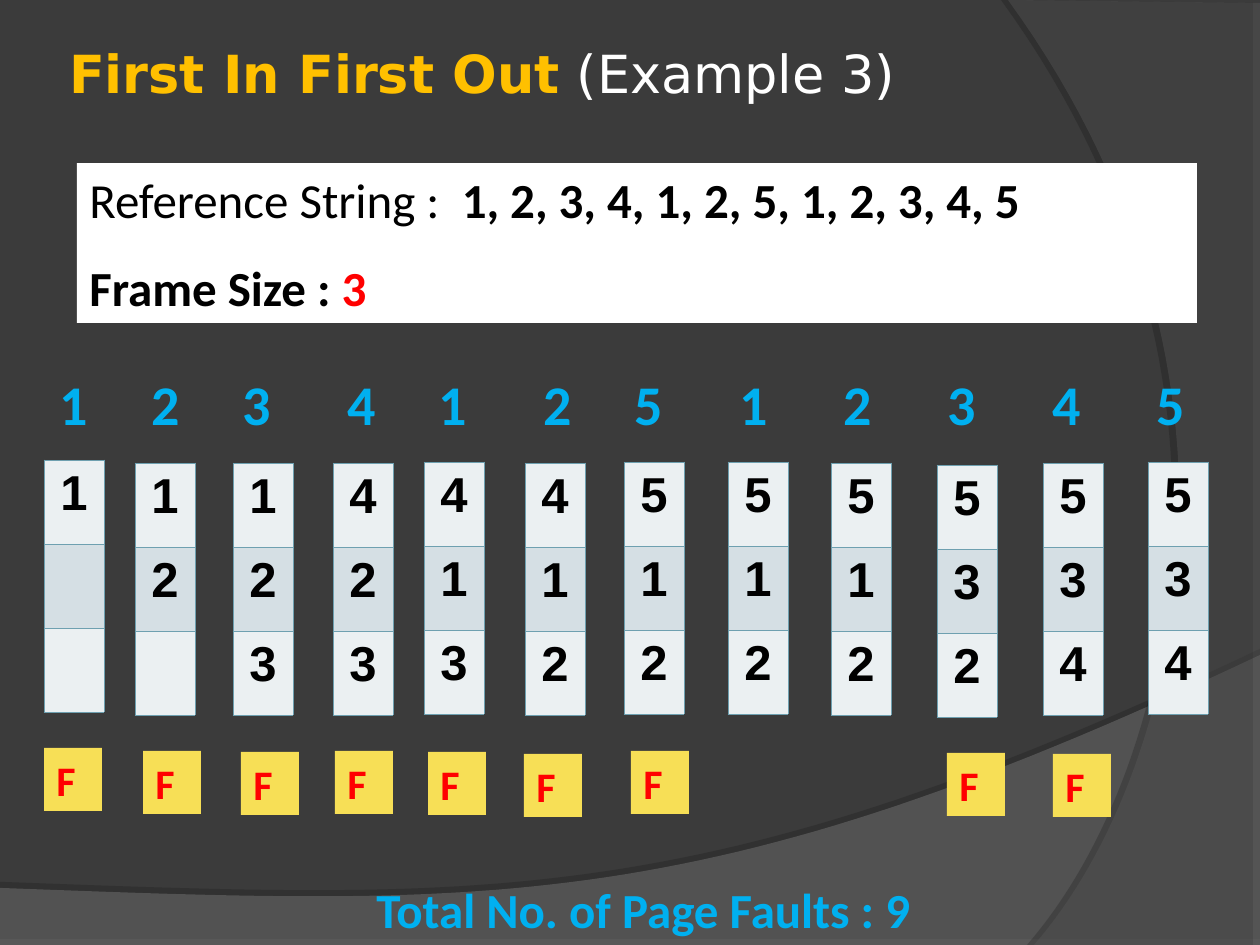
from lxml.etree import SubElement
from pptx import Presentation
from pptx.dml.color import RGBColor
from pptx.enum.shapes import MSO_SHAPE
from pptx.enum.text import MSO_ANCHOR, MSO_AUTO_SIZE, PP_ALIGN
from pptx.oxml.ns import qn
from pptx.util import Pt

COLORS = {
    "background": "3B3B3B", "lower_swoosh": "7C7C7C", "right_swoosh": "595959",
    "gold": "FFC000", "white": "FFFFFF", "black": "000000", "red": "FF0000",
    "blue": "00B0F0", "fault": "F7DF56", "light_row": "EBF0F2",
    "dark_row": "D5DFE4", "border": "6EA0B0",
}
REFERENCES = [1, 2, 3, 4, 1, 2, 5, 1, 2, 3, 4, 5]
FRAME_SIZE = 3
HEADER_TABS = [92, 183, 288, 379, 484, 575, 680, 784, 888, 993, 1097]
STACKS = [(44, 460), (135, 463), (233, 463), (333, 463), (424, 462), (525, 463),
          (624, 462), (728, 462), (831, 463), (937, 465), (1043, 463), (1148, 462)]
FAULTS = [(44, 748), (143, 751), (241, 752), (335, 751), (428, 752),
          (524, 754), (631, 751), (947, 753), (1053, 754)]


def px(n):
    """Turn pixels into EMU at 126 pixels to the inch."""
    return round(n * 914400 / 126)


def rgb(name):
    """Look up a named colour."""
    return RGBColor.from_string(COLORS[name])


def add_run(p, text, size=28, color="black", bold=True, font="Calibri"):
    """Add formatted text to a paragraph."""
    r = p.add_run()
    r.text = text
    r.font.size = Pt(size)
    r.font.name = font
    r.font.bold = bold
    r.font.color.rgb = rgb(color)
    return r


def curve(start, c1, c2, end, steps=60):
    """Sample the points of a cubic curve."""
    points = []
    for i in range(steps + 1):
        t = i / steps
        weights = ((1 - t) ** 3, 3 * t * (1 - t) ** 2, 3 * t * t * (1 - t), t ** 3)
        points.append(tuple(px(sum(w * v for w, v in zip(weights, axis)))
                            for axis in zip(start, c1, c2, end)))
    return points


def add_swoosh(s, corners, bend, color, alpha, shadow):
    """Draw a translucent curved area with a hard shadow."""
    points = [(px(x), px(y)) for x, y in corners] + curve(*bend)
    fb = s.shapes.build_freeform(*points[0])
    fb.add_line_segments(points[1:], close=True)
    sp = fb.convert_to_shape()
    sp.fill.solid()
    sp.fill.fore_color.rgb = rgb(color)
    sp.line.fill.background()
    clr = sp._element.spPr.find(".//" + qn("a:srgbClr"))
    SubElement(clr, qn("a:alpha"), val=str(alpha * 1000))
    sp.shadow.inherit = False
    effects = sp._element.spPr.find(qn("a:effectLst"))
    opacity, dist, angle = shadow
    outer = SubElement(effects, qn("a:outerShdw"), blurRad="0", dist=str(Pt(dist)),
                       dir=str(angle * 60000), algn="ctr", rotWithShape="0")
    dark = SubElement(outer, qn("a:srgbClr"), val=COLORS["black"])
    SubElement(dark, qn("a:alpha"), val=str(opacity * 1000))


def add_background(s):
    """Paint the slide and its two swooshes."""
    s.background.fill.solid()
    s.background.fill.fore_color.rgb = rgb("background")
    add_swoosh(s, [(0, 945), (1260, 945)],
               [(1260, 655), (704, 919), (493, 906), (0, 888)],
               "lower_swoosh", 45, (35, 3.5, 270))
    add_swoosh(s, [(1260, 3), (1260, 945)],
               [(1034, 945), (1178, 780), (1283, 378), (1008, 0)],
               "right_swoosh", 40, (45, 4, 180))


def add_title(s):
    """Move the title placeholder to the front and fill it."""
    sp = s.shapes.title
    s.shapes._spTree.append(sp._element)
    sp.left, sp.top, sp.width, sp.height = px(63), px(-6), px(1134), px(158)
    tf = sp.text_frame
    tf.auto_size = MSO_AUTO_SIZE.NONE
    tf.vertical_anchor = MSO_ANCHOR.MIDDLE
    tf.margin_left = tf.margin_right = tf.margin_top = tf.margin_bottom = px(6)
    p = tf.paragraphs[0]
    p.alignment = PP_ALIGN.LEFT
    add_run(p, "First In First Out", size=30, color="gold", font="DejaVu Sans")
    add_run(p, " (Example 3)", size=30, color="white", bold=False, font="DejaVu Sans")


def add_box(s, x, y, w, h, fill=None):
    """Add a text box or filled rectangle and return its text frame."""
    area = px(x), px(y), px(w), px(h)
    if fill:
        sp = s.shapes.add_shape(MSO_SHAPE.RECTANGLE, *area)
        sp.shadow.inherit = False
        sp.fill.solid()
        sp.fill.fore_color.rgb = rgb(fill)
        sp.line.fill.background()
    else:
        sp = s.shapes.add_textbox(*area)
    tf = sp.text_frame
    tf.word_wrap = True
    tf.vertical_anchor = MSO_ANCHOR.TOP
    tf.paragraphs[0].alignment = PP_ALIGN.LEFT
    return tf


def add_question(s):
    """Show the reference string and the frame size."""
    tf = add_box(s, 77, 163, 1120, 160, fill="white")
    p = tf.paragraphs[0]
    add_run(p, "Reference String :  ", bold=False)
    add_run(p, ", ".join(map(str, REFERENCES)))
    p = tf.add_paragraph()
    p.alignment = PP_ALIGN.JUSTIFY
    p.line_spacing = 1.5
    add_run(p, "Frame Size : ")
    add_run(p, str(FRAME_SIZE), color="red")


def add_header(s):
    """List the references above the stacks at tab stops."""
    p = add_box(s, 47, 363, 1213, 81).paragraphs[0]
    tabs = SubElement(p._p.get_or_add_pPr(), qn("a:tabLst"))
    for pos in HEADER_TABS:
        SubElement(tabs, qn("a:tab"), pos=str(px(pos)), algn="l")
    add_run(p, "\t".join(map(str, REFERENCES)), size=32, color="blue")


def add_borders(cell):
    """Draw a thin line on each side of a cell."""
    tcPr = cell._tc.get_or_add_tcPr()
    for side in ("lnL", "lnR", "lnT", "lnB"):
        ln = SubElement(tcPr, qn("a:" + side), w=str(Pt(0.45)))
        fill = SubElement(ln, qn("a:solidFill"))
        SubElement(fill, qn("a:srgbClr"), val=COLORS["border"])


def add_stack(s, x, y, pages):
    """Add a one-column table of the pages in memory."""
    table = s.shapes.add_table(FRAME_SIZE, 1, px(x), px(y), px(60), px(252)).table
    table.first_row = False
    for i, page in enumerate(pages):
        cell = table.cell(i, 0)
        add_borders(cell)
        cell.fill.solid()
        cell.fill.fore_color.rgb = rgb("dark_row" if i % 2 else "light_row")
        if page:
            p = cell.text_frame.paragraphs[0]
            p.alignment = PP_ALIGN.CENTER
            add_run(p, str(page), font="Arial")


def fifo_steps():
    """Return the frames after each reference and the number of faults."""
    frames, faults, steps = [None] * FRAME_SIZE, 0, []
    for page in REFERENCES:
        if page not in frames:
            frames[faults % FRAME_SIZE] = page
            faults += 1
        steps.append(list(frames))
    return steps, faults


def main():
    """Build and save the slide."""
    prs = Presentation()
    prs.slide_width, prs.slide_height = px(1260), px(945)
    s = prs.slides.add_slide(prs.slide_layouts[5])
    add_background(s)
    add_title(s)
    add_question(s)
    add_header(s)
    steps, faults = fifo_steps()
    for (x, y), pages in zip(STACKS, steps):
        add_stack(s, x, y, pages)
    for x, y in FAULTS:
        p = add_box(s, x, y, 58, 63, fill="fault").paragraphs[0]
        add_run(p, "F", size=24, color="red")
    p = add_box(s, 364, 844, 630, 101).paragraphs[0]
    p.alignment = PP_ALIGN.JUSTIFY
    p.line_spacing = 1.5
    add_run(p, f"Total No. of Page Faults : {faults}", color="blue")
    prs.save("out.pptx")


if __name__ == "__main__":
    main()
